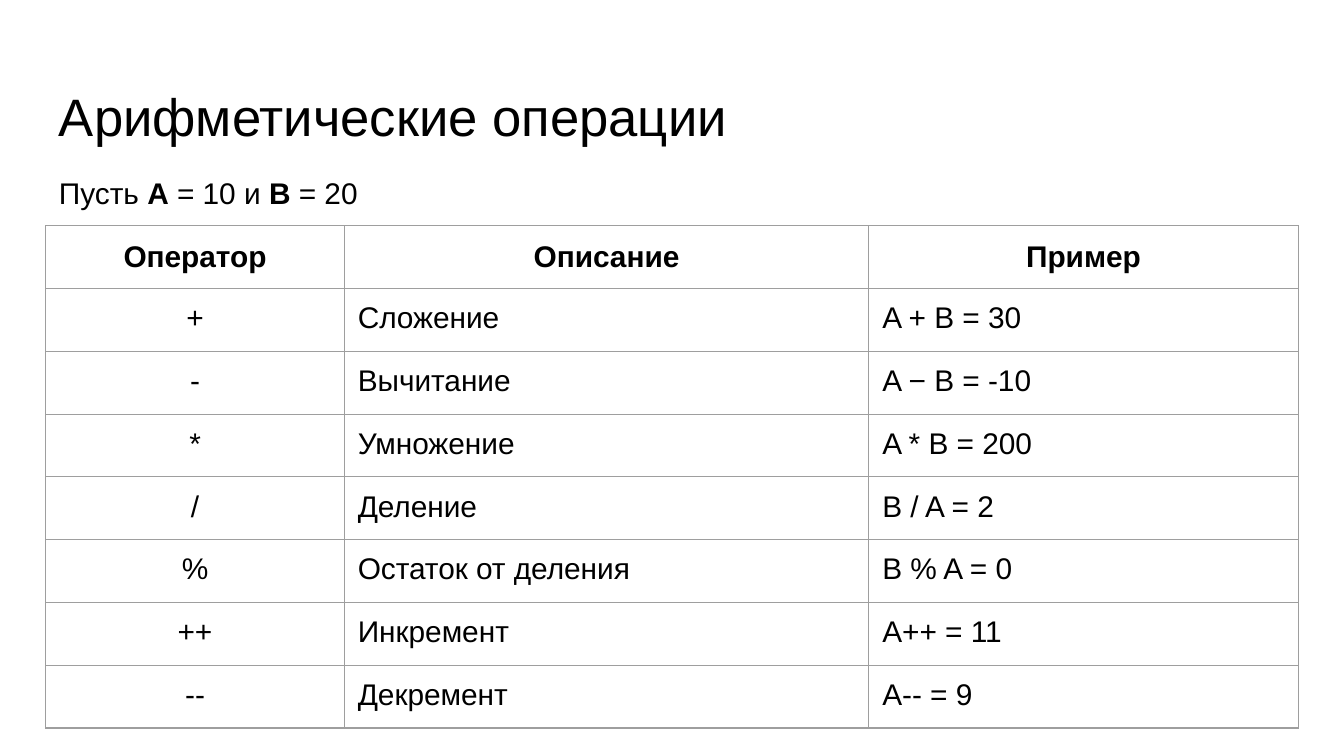
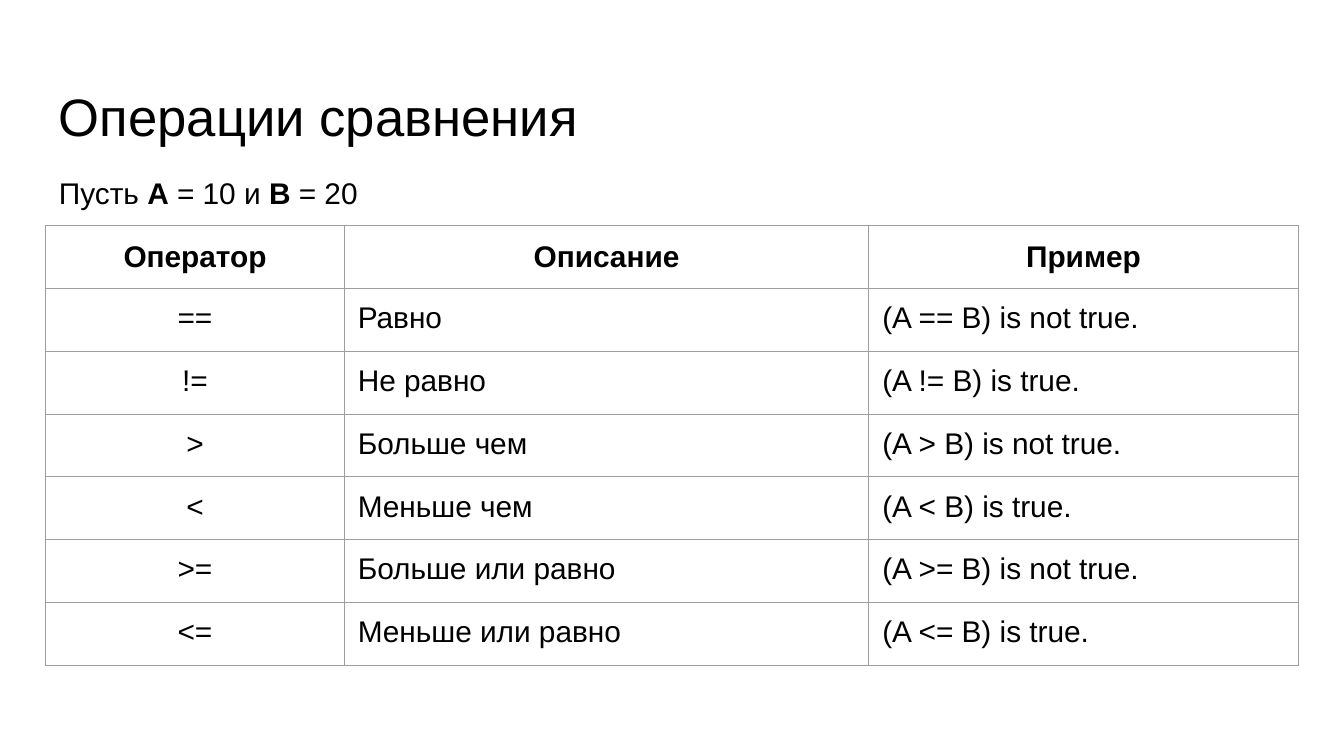
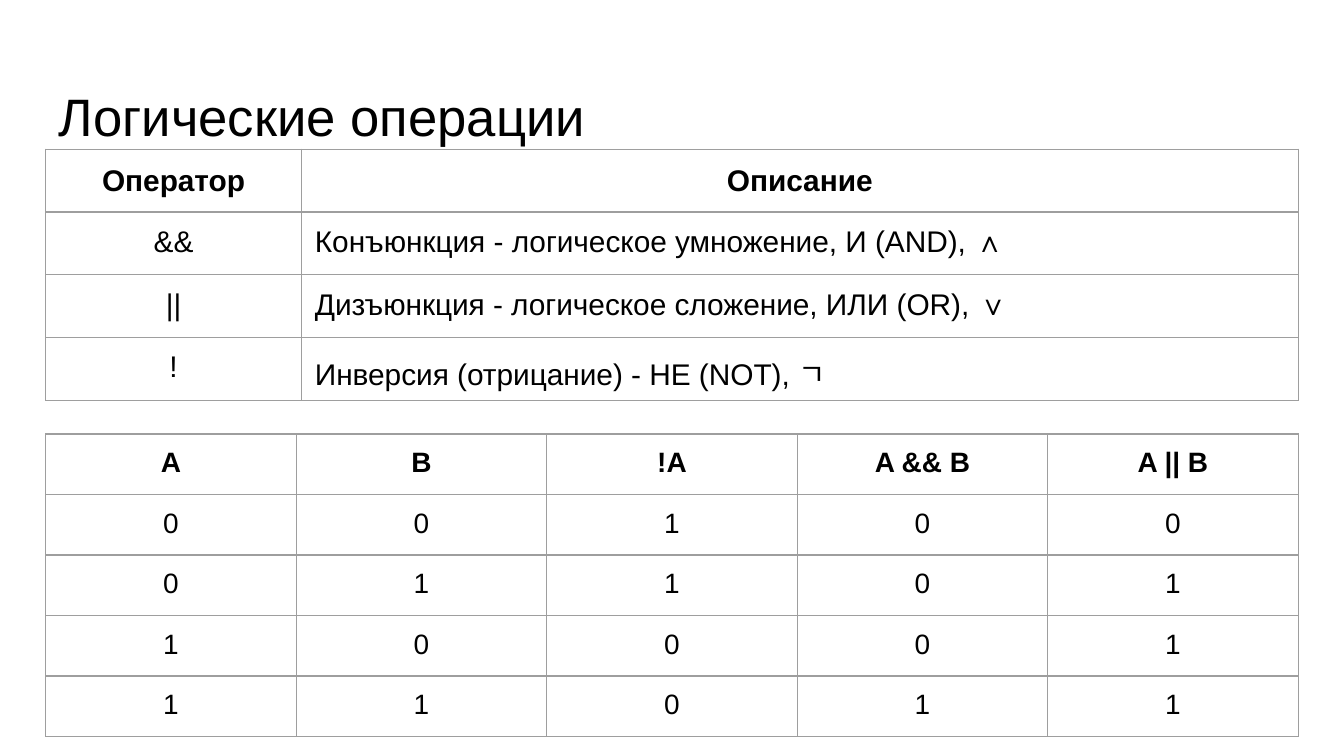
import pptx
import pptx.dml.color
import pptx.enum.text
import pptx.oxml
import pptx.oxml.ns
import pptx.util
from dataclasses import dataclass

Pt = pptx.util.Pt
CENTER = pptx.enum.text.PP_ALIGN.CENTER
LEFT = pptx.enum.text.PP_ALIGN.LEFT
TOP = pptx.enum.text.MSO_ANCHOR.TOP
MIDDLE = pptx.enum.text.MSO_ANCHOR.MIDDLE


@dataclass(frozen=True)
class Theme:
    font: str = "Arial"
    text: str = "000000"
    background: str = "FFFFFF"
    border: str = "9E9E9E"
    border_width: float = 0.75
    title: float = 28.2
    body: float = 16
    truth: float = 15
    inset: float = 7.2


THEME = Theme()
SLIDE_W, SLIDE_H = 720, 405
MARGIN = 24.5
CONTENT_W = SLIDE_W - 2 * MARGIN

GIVEN = [("Пусть ", False), ("A", True), (" = 10 и ", False), ("B", True), (" = 20", False)]
HEADER = ("Оператор", "Описание", "Пример")
OPERATORS = dict(top=121, widths=(160, 281, 230), row_h=31, aligns=(CENTER, LEFT, LEFT))

SLIDES = [
    dict(title="Арифметические операции", given=GIVEN, tables=[
        dict(OPERATORS, rows=[
            HEADER,
            ("+", "Сложение", "A + B = 30"),
            ("-", "Вычитание", "A − B = -10"),
            ("*", "Умножение", "A * B = 200"),
            ("/", "Деление", "B / A = 2"),
            ("%", "Остаток от деления", "B % A = 0"),
            ("++", "Инкремент", "A++ = 11"),
            ("--", "Декремент", "A-- = 9"),
        ]),
    ]),
    dict(title="Операции сравнения", given=GIVEN, tables=[
        dict(OPERATORS, rows=[
            HEADER,
            ("==", "Равно", "(A == B) is not true."),
            ("!=", "Не равно", "(A != B) is true."),
            (">", "Больше чем", "(A > B) is not true."),
            ("<", "Меньше чем", "(A < B) is true."),
            (">=", "Больше или равно", "(A >= B) is not true."),
            ("<=", "Меньше или равно", "(A <= B) is true."),
        ]),
    ]),
    dict(title="Логические операции", tables=[
        dict(top=80, widths=(137, 534), row_h=33.6, aligns=(CENTER, LEFT), rows=[
            HEADER[:2],
            ("&&", "Конъюнкция - логическое умножение, И (AND), ∧"),
            ("||", "Дизъюнкция - логическое сложение, ИЛИ (OR), ∨"),
            ("!", "Инверсия (отрицание) - НЕ (NOT), ㄱ"),
        ]),
        dict(top=232.5, widths=(CONTENT_W / 5,) * 5, row_h=30.2, aligns=(CENTER,) * 5,
             size=THEME.truth, header_anchor=TOP, rows=[
                 ("A", "B", "!A", "A && B", "A || B"),
                 *[(str(a), str(b), str(1 - a), str(a & b), str(a | b))
                   for a in (0, 1) for b in (0, 1)],
             ]),
    ]),
]


def write(tf, text, size=THEME.body, bold=False, align=LEFT):
    p = tf.paragraphs[0]
    p.alignment = align
    runs = [(text, bold)] if isinstance(text, str) else text
    for content, strong in runs:
        r = p.add_run()
        r.text = content
        r.font.name = THEME.font
        r.font.size = Pt(size)
        r.font.bold = strong
        r.font.color.rgb = pptx.dml.color.RGBColor.from_string(THEME.text)


def set_insets(target, top=THEME.inset):
    target.margin_left = target.margin_right = target.margin_bottom = Pt(THEME.inset)
    target.margin_top = Pt(top)


def add_text(s, text, top, height, inset_top=THEME.inset, **fmt):
    sp = s.shapes.add_textbox(Pt(MARGIN), Pt(top), Pt(CONTENT_W), Pt(height))
    tf = sp.text_frame
    tf.word_wrap = True
    set_insets(tf, inset_top)
    write(tf, text, **fmt)


def set_borders(cell):
    tcPr = cell._tc.get_or_add_tcPr()
    for side in "LRTB":
        tcPr.append(pptx.oxml.parse_xml(
            f'<a:ln{side} {pptx.oxml.ns.nsdecls("a")} w="{Pt(THEME.border_width)}">'
            f'<a:solidFill><a:srgbClr val="{THEME.border}"/></a:solidFill></a:ln{side}>'))


def add_grid(s, rows, top, widths, row_h, aligns, size=THEME.body, header_anchor=MIDDLE):
    table = s.shapes.add_table(len(rows), len(widths), Pt(MARGIN), Pt(top),
                               Pt(sum(widths)), Pt(row_h * len(rows))).table
    table.horz_banding = False
    for column, width in zip(table.columns, widths):
        column.width = Pt(width)
    for i, row in enumerate(rows):
        table.rows[i].height = Pt(row_h)
        header = i == 0
        for j, text in enumerate(row):
            cell = table.cell(i, j)
            set_insets(cell)
            cell.vertical_anchor = header_anchor if header else TOP
            set_borders(cell)
            cell.fill.background()
            write(cell.text_frame, text, size=size, bold=header,
                  align=CENTER if header else aligns[j])


def main():
    prs = pptx.Presentation()
    prs.slide_width, prs.slide_height = Pt(SLIDE_W), Pt(SLIDE_H)
    for content in SLIDES:
        s = prs.slides.add_slide(prs.slide_layouts[6])
        s.background.fill.solid()
        s.background.fill.fore_color.rgb = pptx.dml.color.RGBColor.from_string(THEME.background)
        add_text(s, content["title"], 35, 45, inset_top=10, size=THEME.title)
        for grid in content["tables"]:
            add_grid(s, **grid)
        if "given" in content:
            add_text(s, content["given"], 86.5, 34)
    prs.save("out.pptx")


if __name__ == "__main__":
    main()
